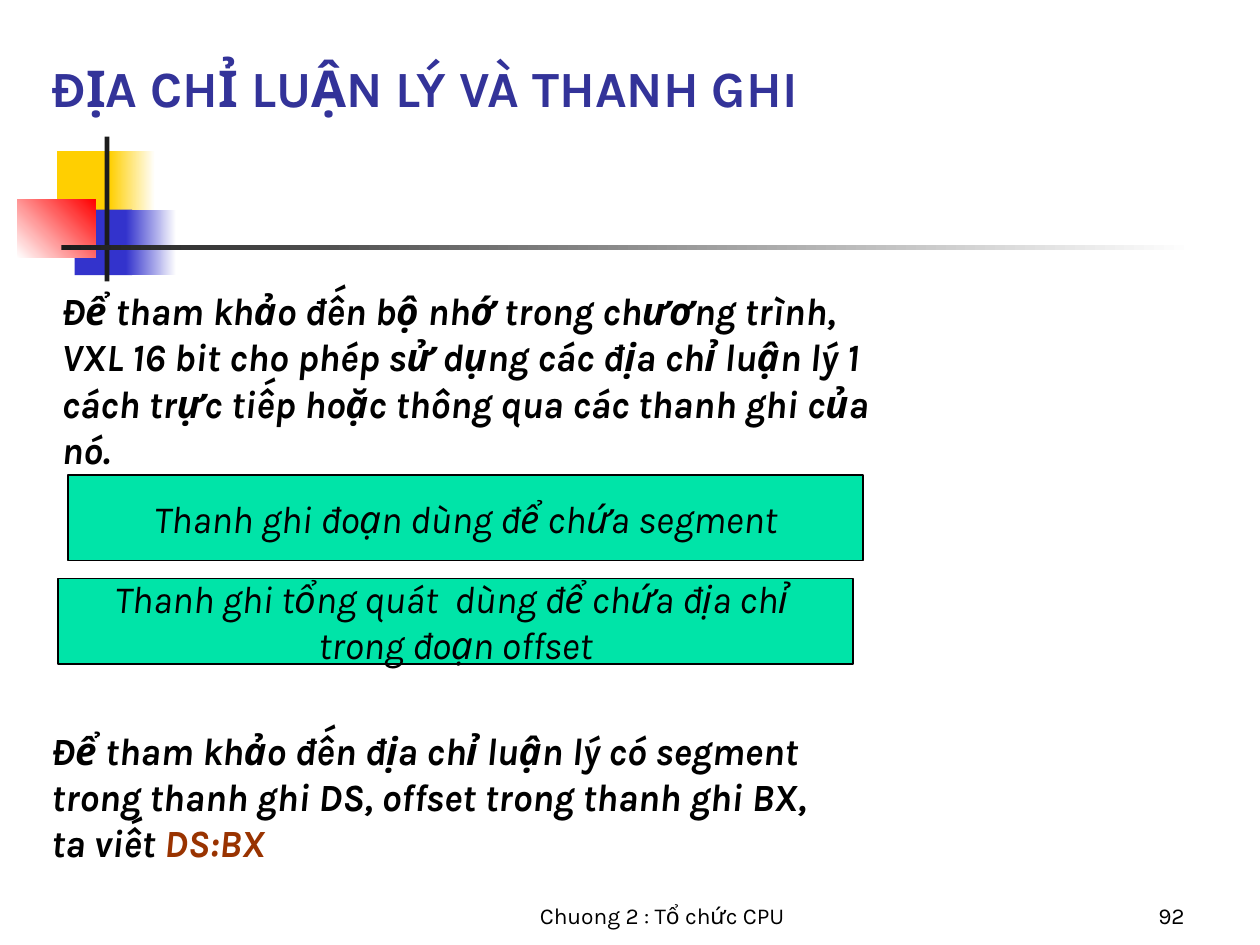
from typing import NamedTuple, Optional

from pptx import Presentation
from pptx import util as u
from pptx.dml.color import RGBColor
from pptx.enum import shapes, text

BLACK = RGBColor(0x00, 0x00, 0x00)
WHITE = RGBColor(0xFF, 0xFF, 0xFF)
YELLOW = RGBColor(0xFF, 0xCF, 0x01)
BLUE = RGBColor(0x33, 0x33, 0xCC)
RED = RGBColor(0xFF, 0x00, 0x00)
CHARCOAL = RGBColor(0x1C, 0x1C, 0x1C)
NAVY = RGBColor(0x33, 0x33, 0x99)
BROWN = RGBColor(0x99, 0x33, 0x00)
GREEN = RGBColor(0x00, 0xE4, 0xA8)

FONT = "Karla"
FOOTER = dict(size=u.Pt(13))
TITLE = dict(size=u.Pt(29), bold=True)
BODY = dict(size=u.Pt(22), bold=True, italic=True)
REGISTER = dict(size=u.Pt(22), italic=True)


class Box(NamedTuple):
    left: float
    top: float
    width: float
    height: float

    def lengths(self) -> list:
        return [u.Pt(value) for value in self]


class Bar(NamedTuple):
    box: Box
    start: RGBColor
    end: Optional[RGBColor] = None
    angle: float = 0


class Run(NamedTuple):
    words: str
    color: RGBColor = BLACK


class Label(NamedTuple):
    box: Box
    lines: list
    style: dict
    align: text.PP_ALIGN = text.PP_ALIGN.LEFT
    anchor: text.MSO_ANCHOR = text.MSO_ANCHOR.TOP
    fit: text.MSO_AUTO_SIZE = text.MSO_AUTO_SIZE.NONE


ORNAMENT = [
    Bar(Box(32.6, 86.4, 34.6, 37.4), YELLOW),
    Bar(Box(62.6, 86.4, 26, 37.4), YELLOW, WHITE),
    Bar(Box(42.6, 119.8, 33, 37.4), BLUE),
    Bar(Box(72, 119.8, 28.8, 37.4), BLUE, WHITE),
    Bar(Box(9.8, 113.8, 44.8, 33.4), WHITE, RED, 45),
    Bar(Box(59.8, 78, 2.7, 82.8), CHARCOAL),
    Bar(Box(35, 140.2, 647.3, 2.5), CHARCOAL, WHITE),
]

CAPTIONS = [
    Label(Box(264.2, 498.2, 228.2, 36), [[Run("Chuong 2 : Tổ chức CPU")]], FOOTER,
          text.PP_ALIGN.CENTER, text.MSO_ANCHOR.BOTTOM),
    Label(Box(534.2, 498.2, 149.8, 36), [[Run("92")]], FOOTER,
          text.PP_ALIGN.RIGHT, text.MSO_ANCHOR.BOTTOM),
    Label(Box(22.3, 27.4, 613.4, 43.2), [[Run("ĐỊA CHỈ LUẬN LÝ VÀ THANH GHI", NAVY)]],
          TITLE, anchor=text.MSO_ANCHOR.BOTTOM),
    Label(Box(28.1, 160.6, 487.4, 112.3),
          [[Run("Để tham khảo đến bộ nhớ trong chương trình, VXL 16 bit cho phép "
                "sử dụng các địa chỉ luận lý 1 cách trực tiếp hoặc thông qua "
                "các thanh ghi của nó.")]],
          BODY, fit=text.MSO_AUTO_SIZE.SHAPE_TO_FIT_TEXT),
    Label(Box(22.3, 411.8, 448.6, 85.7),
          [[Run("Để tham khảo đến địa chỉ luận lý có segment trong thanh ghi DS, "
                "offset trong thanh ghi BX, ta viết "), Run("DS:BX", BROWN)]],
          BODY, fit=text.MSO_AUTO_SIZE.SHAPE_TO_FIT_TEXT),
]

REGISTERS = [
    Label(Box(left, top, 454.3, 49), lines, REGISTER,
          text.PP_ALIGN.CENTER, text.MSO_ANCHOR.MIDDLE)
    for left, top, lines in [
        (38.9, 271.4, [[Run("Thanh ghi đoạn dùng để chứa segment")]]),
        (33.1, 330.5, [[Run("Thanh ghi tổng quát  dùng để chứa địa chỉ ")],
                       [Run("trong đoạn offset")]]),
    ]
]


def draw_bar(slide, bar: Bar) -> None:
    block = slide.shapes.add_shape(shapes.MSO_SHAPE.RECTANGLE, *bar.box.lengths())
    block.shadow.inherit = False
    block.line.fill.background()
    if bar.end is None:
        block.fill.solid()
        block.fill.fore_color.rgb = bar.start
        return
    block.fill.gradient()
    block.fill.gradient_angle = bar.angle
    for stop, color, position in zip(block.fill.gradient_stops, (bar.start, bar.end), (0, 1)):
        stop.color.rgb = color
        stop.position = position


def write(frame, label: Label, wrap: bool) -> None:
    layout = dict(word_wrap=wrap, auto_size=label.fit, vertical_anchor=label.anchor)
    for name, value in layout.items():
        setattr(frame, name, value)
    for index, line in enumerate(label.lines):
        paragraph = frame.add_paragraph() if index else frame.paragraphs[0]
        paragraph.alignment = label.align
        for words, color in line:
            run = paragraph.add_run()
            run.text = words
            run.font.color.rgb = color
            for name, value in dict(label.style, name=FONT).items():
                setattr(run.font, name, value)


def draw_caption(slide, label: Label) -> None:
    write(slide.shapes.add_textbox(*label.box.lengths()).text_frame, label, True)


def draw_register(slide, label: Label) -> None:
    panel = slide.shapes.add_shape(shapes.MSO_SHAPE.RECTANGLE, *label.box.lengths())
    panel.shadow.inherit = False
    panel.fill.solid()
    panel.fill.fore_color.rgb = GREEN
    panel.line.color.rgb = BLACK
    panel.line.width = u.Pt(0.75)
    write(panel.text_frame, label, False)


def main() -> None:
    deck = Presentation()
    deck.slide_width, deck.slide_height = u.Pt(720), u.Pt(540)
    slide = deck.slides.add_slide(deck.slide_layouts[6])
    for bar in ORNAMENT:
        draw_bar(slide, bar)
    for caption in CAPTIONS:
        draw_caption(slide, caption)
    for register in REGISTERS:
        draw_register(slide, register)
    deck.save("out.pptx")


if __name__ == "__main__":
    main()
